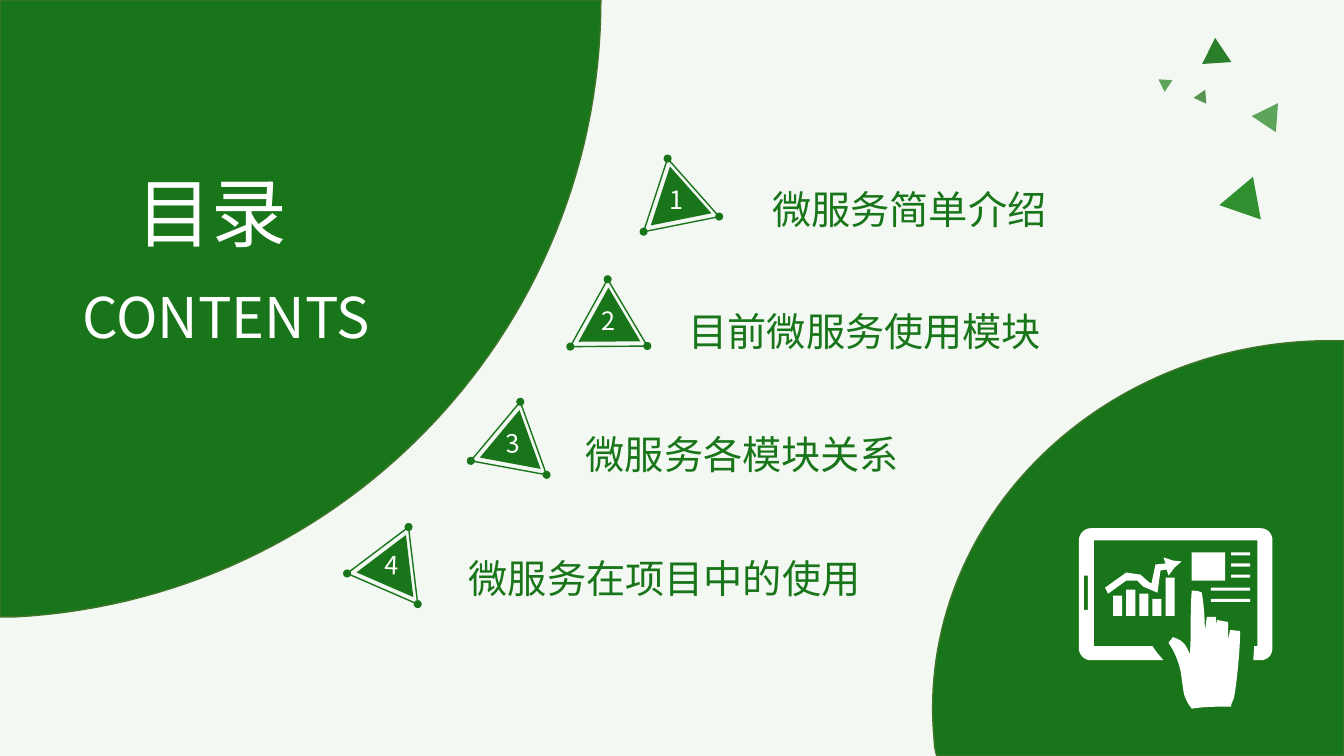
from math import cos, radians, sin

from lxml.etree import SubElement
from pptx import Presentation
from pptx.dml.color import RGBColor
from pptx.enum.shapes import MSO_SHAPE
from pptx.enum.text import MSO_ANCHOR, MSO_AUTO_SIZE, PP_ALIGN
from pptx.oxml.ns import qn
from pptx.util import Inches, Pt

FONT = "Noto Sans CJK SC"
GREEN, WHITE, EDGE = "197519", "FFFFFF", "3E752A"


def paint(fill, color):
    fill.solid()
    fill.fore_color.rgb = RGBColor.from_string(color)


def write(shape, text, size, color, box, align=PP_ALIGN.LEFT):
    shape.left, shape.top, shape.width, shape.height = [Inches(value) for value in box]
    frame = shape.text_frame
    frame.text = text
    frame.word_wrap = True
    frame.auto_size = MSO_AUTO_SIZE.NONE
    frame.vertical_anchor = MSO_ANCHOR.TOP
    paragraph = frame.paragraphs[0]
    paragraph.alignment = align
    paragraph.space_before = Pt(0)
    font = paragraph.runs[0].font
    font.name, font.size, font.bold = FONT, Pt(size), False
    paint(font.fill, color)
    SubElement(paragraph.runs[0]._r.get_or_add_rPr(), qn("a:ea"), typeface=FONT)


presentation = Presentation()
presentation.slide_width, presentation.slide_height = Inches(13.33), Inches(7.5)
slide = presentation.slides.add_slide(presentation.slide_layouts.get_by_name("Comparison"))
paint(slide.background.fill, "F3F8F3")

# Scattered triangles: container, kind, centre, size, rotation, fill, line
flat_shapes = [
    (slide, MSO_SHAPE.ISOSCELES_TRIANGLE, x, y, width, height, rotation, color, None)
    for x, y, width, height, rotation, color in [
        (12.6, 1.2, 0.29, 0.25, 153.9, "5EA45A"),
        (12.28, 2, 0.43, 0.38, 259.5, "309030"),
        (12.06, 0.5, 0.29, 0.25, 356.2, "2B7E2A"),
        (11.54, 0.82, 0.14, 0.12, 303.5, "5EA45A"),
        (11.93, 0.98, 0.14, 0.12, 145.8, "559551"),
    ]
]

# Agenda rows: text, text position, marker centre, marker rotation, number tilt
agenda = [
    ("微服务简单介绍", 7.56, 1.79, 6.63, 2.08, 228.4, 0),
    ("目前微服务使用模块", 6.73, 3, 5.94, 3.27, 239.3, 0),
    ("微服务各模块关系", 5.71, 4.22, 4.98, 4.46, 250.2, -3.6),
    ("微服务在项目中的使用", 4.55, 5.45, 3.77, 5.65, 263.2, 2.1),
]
TRIANGLE_WIDTH, TRIANGLE_HEIGHT, DOT = 0.77, 0.66, 0.08
# Offsets from the marker centre before rotation: inner triangle, number, corners
offsets = [(0, 0.03), (0.03, 0.12), (0, -TRIANGLE_HEIGHT / 2),
           (-TRIANGLE_WIDTH / 2, TRIANGLE_HEIGHT / 2),
           (TRIANGLE_WIDTH / 2, TRIANGLE_HEIGHT / 2)]
numbers = []
for number, (text, left, top, x, y, rotation, tilt) in enumerate(agenda, start=1):
    item = slide.placeholders[number]
    write(item, text, 28, GREEN, (left, top, 4.99, 0.57))
    properties = item.text_frame.paragraphs[0]._p.get_or_add_pPr()
    properties.set("marL", "0")
    properties.set("indent", "0")
    SubElement(properties, qn("a:buNone"))

    marker = slide.shapes.add_group_shape()
    cosine, sine = cos(radians(rotation)), sin(radians(rotation))
    inner, label, *corners = [
        (x + dx * cosine - dy * sine, y + dx * sine + dy * cosine) for dx, dy in offsets
    ]
    triangle = MSO_SHAPE.ISOSCELES_TRIANGLE
    flat_shapes.append((marker, triangle, x, y, TRIANGLE_WIDTH, TRIANGLE_HEIGHT,
                        rotation, None, GREEN))
    flat_shapes.append((marker, triangle, *inner, 0.62, 0.53, rotation, GREEN, None))
    for corner in corners:
        flat_shapes.append((marker, MSO_SHAPE.OVAL, *corner, DOT, DOT, 0, GREEN, None))
    numbers.append((marker, str(number), *label, tilt))

# Draw the triangles and dots
for container, kind, x, y, width, height, rotation, color, line_color in flat_shapes:
    shape = container.shapes.add_shape(kind, Inches(x - width / 2), Inches(y - height / 2),
                                       Inches(width), Inches(height))
    shape.rotation = rotation
    shape.shadow.inherit = False
    if color:
        paint(shape.fill, color)
    else:
        shape.fill.background()
    if line_color:
        paint(shape.line.fill, line_color)
        shape.line.width = Pt(1)
    else:
        shape.line.fill.background()

# Numbers on top of the markers
for marker, text, x, y, tilt in numbers:
    label = marker.shapes.add_textbox(0, 0, 0, 0)
    write(label, text, 18, WHITE, (x - 0.12, y - 0.2, 0.25, 0.4), PP_ALIGN.CENTER)
    label.text_frame.margin_left = label.text_frame.margin_right = 0
    label.rotation = tilt

# Outlines: pairs are corners, sixes are Bezier curves
title_panel = [(0, 0), (5.96, 0), (5.96, 3.28, 3.39, 5.95, 0.15, 6.12), (0, 6.12)]
corner_panel = [(13.19, 3.38), (13.33, 3.38), (13.33, 7.5), (9.29, 7.5), (9.27, 7.41),
                (9.26, 7.28, 9.25, 7.16, 9.25, 7.03), (9.25, 5.01, 11.02, 3.38, 13.19, 3.38)]
tablet = [(10.82, 5.24), (12.5, 5.24), (12.58, 5.24, 12.62, 5.3, 12.62, 5.36),
          (12.62, 6.43), (12.62, 6.49, 12.58, 6.55, 12.5, 6.55), (12.43, 6.55),
          (12.44, 6.41), (12.47, 6.41), (12.47, 5.36), (10.85, 5.36), (10.85, 6.41),
          (11.43, 6.41), (11.48, 6.48), (11.54, 6.55), (10.82, 6.55),
          (10.75, 6.55, 10.7, 6.49, 10.7, 6.43), (10.7, 5.36),
          (10.7, 5.3, 10.75, 5.24, 10.82, 5.24)]
trend_arrow = [(10.96, 5.83), (10.99, 5.89), (11.17, 5.76), (11.28, 5.76), (11.34, 5.82),
               (11.48, 5.88), (11.51, 5.66), (11.57, 5.65), (11.59, 5.71), (11.65, 5.63),
               (11.72, 5.57), (11.63, 5.56), (11.54, 5.53), (11.56, 5.59), (11.46, 5.6),
               (11.42, 5.79), (11.39, 5.77), (11.31, 5.7), (11.17, 5.68)]
hand = [(11.95, 6.26), (11.95, 6.14, 11.94, 6, 11.92, 5.88),
        (11.89, 5.86, 11.85, 5.86, 11.82, 5.86), (11.8, 6.08, 11.82, 6.28, 11.8, 6.49),
        (11.77, 6.41, 11.74, 6.35, 11.63, 6.32), (11.62, 6.35, 11.6, 6.35, 11.59, 6.38),
        (11.65, 6.46, 11.69, 6.57, 11.71, 6.66), (11.74, 6.87),
        (11.75, 6.92, 11.78, 6.98, 11.82, 7.03), (11.95, 7.01, 12.06, 7.01, 12.21, 7.01),
        (12.21, 6.98, 12.23, 6.95, 12.24, 6.92), (12.27, 6.75, 12.3, 6.43, 12.3, 6.26),
        (12.2, 6.25), (12.18, 6.35), (12.18, 6.17), (12.07, 6.15), (12.06, 6.2),
        (12.06, 6.12), (11.97, 6.12)]
# Icon rectangles (left, top, right, bottom): slot, picture block, text lines, bars
rectangles = [(10.75, 5.71, 10.79, 6.05), (11.82, 5.48, 12.15, 5.76)]
rectangles += [(12.21, top, 12.4, top + 0.03) for top in (5.48, 5.59, 5.7)]
rectangles += [(12.01, top, 12.4, top + 0.03) for top in (5.83, 5.94)]
rectangles += [(11.04 + 0.13 * index, top, 11.13 + 0.13 * index, 6.11)
               for index, top in enumerate((5.91, 5.85, 5.89, 5.94, 5.73))]
icon = [tablet, trend_arrow, hand]
icon += [[(l, t), (r, t), (r, b), (l, b)] for l, t, r, b in rectangles]

# Draw the two green panels and the tablet icon
panels = []
for contours, color, line_color in [([title_panel], GREEN, EDGE),
                                    ([corner_panel], GREEN, EDGE), (icon, WHITE, None)]:
    builder = None
    for start, *segments in contours:
        points = [start]
        for segment in segments:
            if len(segment) == 2:
                points.append(segment)
                continue
            x0, y0 = points[-1]
            x1, y1, x2, y2, x3, y3 = segment
            steps = 60 if abs(x3 - x0) > 1 else 8
            for step in range(1, steps + 1):
                t = step / steps
                a, b, c, d = (1 - t) ** 3, 3 * t * (1 - t) ** 2, 3 * t * t * (1 - t), t ** 3
                points.append((a * x0 + b * x1 + c * x2 + d * x3,
                               a * y0 + b * y1 + c * y2 + d * y3))
        points = [(Inches(x), Inches(y)) for x, y in points]
        if builder is None:
            builder = slide.shapes.build_freeform(*points[0])
        else:
            builder.move_to(*points[0])
        builder.add_line_segments(points[1:], close=True)
    panel = builder.convert_to_shape()
    panel.shadow.inherit = False
    paint(panel.fill, color)
    if line_color:
        paint(panel.line.fill, line_color)
        panel.line.width = Pt(1)
    else:
        panel.line.fill.background()
    panels.append(panel)

# Title and subtitle on the left panel
title = slide.shapes.title
write(title, "目录", 54, WHITE, (1.25, 1.6, 2.08, 1.01))
panels[0].element.addnext(title.element)
subtitle = slide.shapes.add_textbox(0, 0, 0, 0)
write(subtitle, "CONTENTS", 40, WHITE, (0.72, 2.75, 3.37, 0.77))

presentation.save("out.pptx")
